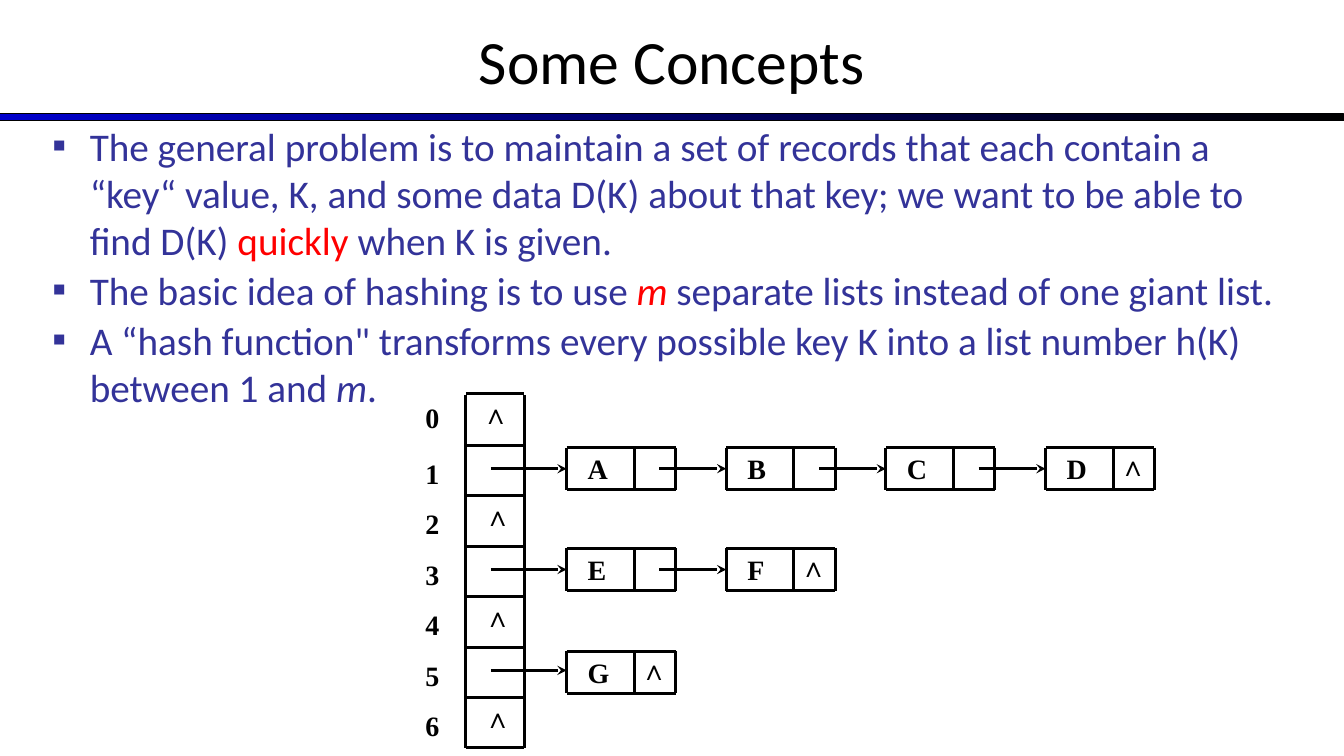
"""Build a slide that explains hashing with separate chains."""
from dataclasses import dataclass

from lxml import etree
from pptx import Presentation
from pptx.dml.color import RGBColor
from pptx.enum.shapes import MSO_CONNECTOR, MSO_SHAPE
from pptx.enum.text import MSO_ANCHOR, MSO_AUTO_SIZE, PP_ALIGN
from pptx.oxml.ns import qn
from pptx.util import Inches, Pt

RECTANGLE = MSO_SHAPE.RECTANGLE
STRAIGHT = MSO_CONNECTOR.STRAIGHT
TOP, MIDDLE = MSO_ANCHOR.TOP, MSO_ANCHOR.MIDDLE
CENTER = PP_ALIGN.CENTER
NO_AUTOFIT, GROW = MSO_AUTO_SIZE.NONE, MSO_AUTO_SIZE.SHAPE_TO_FIT_TEXT


@dataclass(frozen=True)
class Theme:
    text_font: str = "Calibri"
    diagram_font: str = "Times New Roman"
    black: str = "000000"
    body: str = "333399"
    accent: str = "FF0000"
    bar_start: str = "0000CC"
    title_size: int = 44
    body_size: int = 28
    diagram_size: int = 20
    line_width: float = 2.25
    bar_line_width: float = 0.75


class ConceptSlide:
    def __init__(self, presentation, theme):
        self.theme = theme
        self.slide = presentation.slides.add_slide(presentation.slide_layouts[1])
        self.shapes = self.slide.shapes

    def place(self, shape, left, top, width, height):
        box = {"left": left, "top": top, "width": width, "height": height}
        for name, value in box.items():
            setattr(shape, name, Inches(value))

    def set_frame(self, shape, anchor, auto_size=NO_AUTOFIT):
        formats = {
            "word_wrap": True, "auto_size": auto_size, "vertical_anchor": anchor,
            "margin_left": Inches(0.1), "margin_right": Inches(0.1),
            "margin_top": Inches(0.05), "margin_bottom": Inches(0.05),
        }
        for name, value in formats.items():
            setattr(shape.text_frame, name, value)

    def add_run(self, paragraph, text, color, **formats):
        run = paragraph.add_run()
        run.text = text
        run.font.color.rgb = RGBColor.from_string(color)
        for name, value in formats.items():
            setattr(run.font, name, value)

    def add_bar(self, left, top, width, height):
        bar = self.shapes.add_shape(RECTANGLE, *map(Inches, (left, top, width, height)))
        bar.shadow.inherit = False
        bar.fill.gradient()
        bar.fill.gradient_angle = 0
        colors = (self.theme.bar_start, self.theme.black)
        for stop, position, color in zip(bar.fill.gradient_stops, (0, 1), colors):
            stop.position = position
            stop.color.rgb = RGBColor.from_string(color)
        self.set_line(bar.line, self.theme.bar_line_width)

    def set_line(self, line, width):
        line.color.rgb = RGBColor.from_string(self.theme.black)
        line.width = Pt(width)

    def add_title(self, text, *box):
        title = self.shapes.title
        self.place(title, *box)
        self.set_frame(title, MIDDLE)
        paragraph = title.text_frame.paragraphs[0]
        paragraph.alignment = CENTER
        self.add_run(paragraph, text, self.theme.black, name=self.theme.text_font,
                     size=Pt(self.theme.title_size))

    def add_bullets(self, items, *box):
        body = self.slide.placeholders[1]
        self.place(body, *box)
        self.set_frame(body, TOP)
        for index, item in enumerate(items):
            frame = body.text_frame
            paragraph = frame.add_paragraph() if index else frame.paragraphs[0]
            paragraph.space_before = Pt(2 if index else 0)
            self.set_bullet(paragraph)
            for text, color, italic in item:
                self.add_run(paragraph, text, color, name=self.theme.text_font,
                             size=Pt(self.theme.body_size), italic=italic)

    def set_bullet(self, paragraph):
        properties = paragraph._p.get_or_add_pPr()
        indent = Inches(0.37)
        properties.set("marL", str(indent))
        properties.set("indent", str(-indent))
        color = etree.SubElement(properties, qn("a:buClr"))
        etree.SubElement(color, qn("a:srgbClr"), val=self.theme.body)
        etree.SubElement(properties, qn("a:buFont"), typeface=self.theme.text_font)
        etree.SubElement(properties, qn("a:buChar"), char="▪")

    def add_label(self, text, left, top, width):
        label = self.shapes.add_textbox(*map(Inches, (left, top, width, 0.43)))
        self.set_frame(label, TOP, GROW)
        self.add_run(label.text_frame.paragraphs[0], text, self.theme.black,
                     name=self.theme.diagram_font, bold=True,
                     size=Pt(self.theme.diagram_size))

    def add_line(self, start_x, start_y, end_x, end_y):
        connector = self.shapes.add_connector(
            STRAIGHT, *map(Inches, (start_x, start_y, end_x, end_y)))
        self.set_line(connector.line, self.theme.line_width)
        etree.SubElement(connector._element.spPr, qn("a:effectLst"))
        return connector

    def add_arrow(self, start_x, end_x, y):
        arrow = self.add_line(start_x, y, end_x, y)
        etree.SubElement(arrow.line._get_or_add_ln(), qn("a:tailEnd"), type="stealth")

    def add_node(self, key, left, top, is_last):
        right, bottom = left + 1.08, top + 0.42
        for y in (top, bottom):
            self.add_line(left, y, right, y)
        for x in (left, left + 0.67, right):
            self.add_line(x, top, x, bottom)
        self.add_label(key, left + 0.11, top - 0.01, 0.92)
        if is_last:
            self.add_label("∧", left + 0.63, top - 0.04, 0.75)

    def add_chain(self, keys, top, arrow_y):
        first_left, last_left = 5.62, 10.37
        pitch = (last_left - first_left) / 3
        arrow_start = 4.87
        for index, key in enumerate(keys):
            left = first_left + index * pitch
            self.add_node(key, left, top, index == len(keys) - 1)
            self.add_arrow(arrow_start, left, arrow_y)
            arrow_start = left + 0.92

    def add_hash_table(self, bucket_count, chains):
        left, right = 4.62, 5.2
        edges = [3.9] + [3.92 + 0.5 * index for index in range(1, bucket_count + 1)]
        for x in (left, right):
            self.add_line(x, 3.92, x, edges[-1])
        for y in edges:
            self.add_line(left, y, right, y)
        for index, top in enumerate(edges[:-1]):
            self.add_label(str(index), 4.12, top + (0.06 if index else 0.02), 0.5)
            if index not in chains:
                self.add_label("∧", 4.7 if index else 4.68, top - 0.02, 0.75)
        for index, (keys, top) in chains.items():
            self.add_chain(keys, top, edges[index] + 0.23)


def main():
    theme = Theme()
    presentation = Presentation()
    presentation.slide_width = Inches(13.33)
    presentation.slide_height = Inches(7.5)
    concepts = ConceptSlide(presentation, theme)
    concepts.add_bar(0, 1.13, 13.33, 0.07)
    concepts.add_title("Some Concepts", 0, -0.03, 13.33, 1.25)
    bullets = [
        [("The general problem is to maintain a set of records that each contain a "
          "“key“ value, K, and some data D(K) about that key; we want to be able to "
          "find D(K) ", theme.body, False),
         ("quickly", theme.accent, False),
         (" when K is given.", theme.body, False)],
        [("The basic idea of hashing is to use ", theme.body, False),
         ("m", theme.accent, True),
         (" separate lists instead of one giant list.", theme.body, False)],
        [("A “hash function\" transforms every possible key K into a list number "
          "h(K) between 1 and ", theme.body, False),
         ("m", theme.body, True),
         (".", theme.body, False)],
    ]
    concepts.add_bullets(bullets, 0.42, 1.16, 12.42, 2.92)
    concepts.add_hash_table(7, {1: ("ABCD", 4.44), 3: ("EF", 5.44), 5: ("G", 6.46)})
    presentation.save("out.pptx")


if __name__ == "__main__":
    main()
